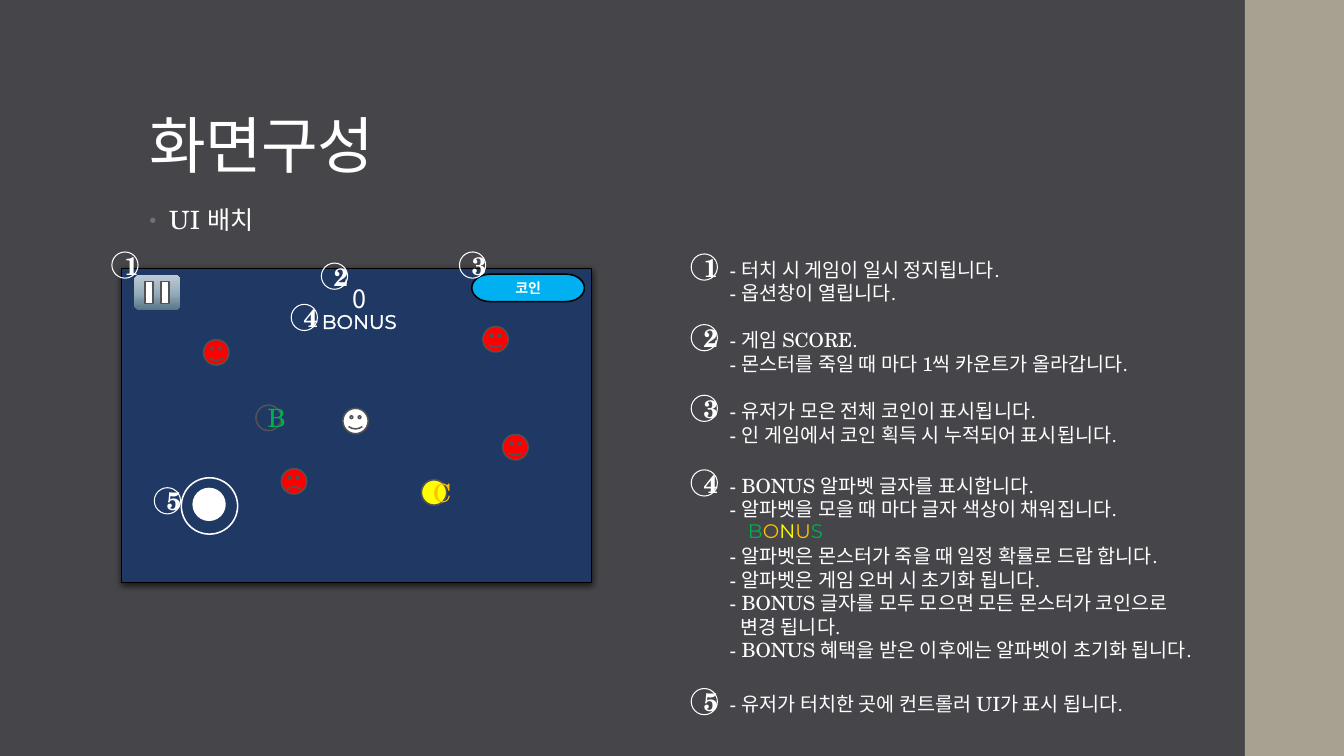
from copy import deepcopy

from lxml import etree
from pptx import Presentation
from pptx.dml.color import RGBColor
from pptx.enum.shapes import MSO_SHAPE
from pptx.enum.text import MSO_ANCHOR, MSO_AUTO_SIZE, PP_ALIGN
from pptx.oxml.ns import qn
from pptx.util import Cm, Pt

OVAL, FACE, BOX = MSO_SHAPE.OVAL, MSO_SHAPE.SMILEY_FACE, MSO_SHAPE.RECTANGLE
ROUNDED = MSO_SHAPE.ROUNDED_RECTANGLE
PROCESS = MSO_SHAPE.FLOWCHART_PROCESS
TERMINATOR = MSO_SHAPE.FLOWCHART_TERMINATOR
LEFT, CENTER = PP_ALIGN.LEFT, PP_ALIGN.CENTER
TOP, BOTTOM = MSO_ANCHOR.TOP, MSO_ANCHOR.BOTTOM
NO_AUTOFIT = MSO_AUTO_SIZE.NONE

SERIF, SANS, KOREAN = "TeX Gyre Schola", "Montserrat", "Noto Sans CJK KR"
COLORS = {
    "background": "46464A", "strip": "A7A192", "screen": "203864",
    "white": "FFFFFF", "black": "000000", "edge": "525256", "bullet": "6F6F74",
    "coin": "00B0F0", "red": "FF0000", "green": "00B050", "yellow": "FFFF00",
    "amber": "FFC000",
}
BUTTON_GRADIENT = [(0, "577387"), (0.48, "95ACBB"), (1, "BECBD5")]

TITLE = "화면구성"
SUBTITLE = "UI 배치"

# Lengths in centimetres
ITEM_SIZE, MARKER_SIZE = 0.64, 0.66
SCREEN = (3.07, 6.76, 11.84, 7.92)
PLAYER = (8.64, 10.29)
MONSTERS = [((5.13, 8.56), 0.047), ((12.17, 8.23), 0.047),
            ((12.67, 10.95), 0.047), ((7.09, 11.81), -0.047)]
LETTERS = [("B", (6.45, 10.21), None, "green"),
           ("C", (10.62, 12.09), "yellow", "amber")]
SCREEN_MARKERS = [(2.82, 6.35), (8.1, 6.63), (11.58, 6.35), (7.34, 7.67), (3.89, 12.29)]
BONUS_WORDS = [((7.8, 7.67), ["white"] * 5),
               ((18.54, 12.95), ["green", "amber", "yellow", "amber", "green"])]

NOTE_MARKER_LEFT, NOTE_LEFT, NOTE_WIDTH = 17.42, 18.14, 13.13
LINE_HEIGHT, NOTE_PADDING = 0.6, 0.25
NOTES = [
    (6.4, ["- 터치 시 게임이 일시 정지됩니다.", "- 옵션창이 열립니다."]),
    (8.18, ["- 게임 SCORE.", "- 몬스터를 죽일 때 마다 1씩 카운트가 올라갑니다."]),
    (9.96, ["- 유저가 모은 전체 코인이 표시됩니다.",
            "- 인 게임에서 코인 획득 시 누적되어 표시됩니다."]),
    (11.84, ["- BONUS 알파벳 글자를 표시합니다.",
             "- 알파벳을 모을 때 마다 글자 색상이 채워집니다.",
             "- 알파벳은 몬스터가 죽을 때 일정 확률로 드랍 합니다.",
             "- 알파벳은 게임 오버 시 초기화 됩니다.",
             "- BONUS 글자를 모두 모으면 모든 몬스터가 코인으로",
             "변경 됩니다.",
             "- BONUS 혜택을 받은 이후에는 알파벳이 초기화 됩니다."]),
    (17.35, ["- 유저가 터치한 곳에 컨트롤러 UI가 표시 됩니다."]),
]
BONUS_NOTE, LINE_AFTER_BONUS = 3, 2


def rgb(name):
    return RGBColor.from_string(COLORS[name])


def format_run(run, size, color="white", font=SERIF, bold=False):
    run.font.size, run.font.bold, run.font.name = Pt(size), bold, font
    run.font.color.rgb = rgb(color)
    east_asian = etree.Element(qn("a:ea"), typeface=KOREAN)
    run.font._element.find(qn("a:latin")).addnext(east_asian)


def add_figure(slide, kind, box, fill=None, line=None, width=1.1):
    shape = slide.shapes.add_shape(kind, *map(Cm, box))
    shape.shadow.inherit = False
    if fill:
        shape.fill.solid()
        shape.fill.fore_color.rgb = rgb(fill)
    else:
        shape.fill.background()
    if line:
        shape.line.color.rgb = rgb(line)
        shape.line.width = Pt(width)
    else:
        shape.line.fill.background()
    return shape


def add_label(shape, text, size, color="white", bold=True):
    paragraph = shape.text_frame.paragraphs[0]
    paragraph.text, paragraph.alignment = text, CENTER
    format_run(paragraph.runs[0], size, color, bold=bold)


def add_marker(slide, number, left, top):
    marker = add_figure(slide, OVAL, (left, top, MARKER_SIZE, MARKER_SIZE),
                        line="white", width=0.75)
    add_label(marker, str(number), 18)


def add_text(slide, box):
    frame = slide.shapes.add_textbox(*map(Cm, box)).text_frame
    frame.word_wrap = True
    return frame


def place(placeholder, box, text, size, anchor, line_spacing, tracking):
    placeholder.left, placeholder.top, placeholder.width, placeholder.height = map(Cm, box)
    frame = placeholder.text_frame
    frame.text, frame.vertical_anchor, frame.auto_size = text, anchor, NO_AUTOFIT
    paragraph = frame.paragraphs[0]
    paragraph.alignment, paragraph.line_spacing = LEFT, line_spacing
    paragraph.space_before = Pt(0)
    format_run(paragraph.runs[0], size)
    paragraph.runs[0].font._element.set("spc", str(tracking))
    return paragraph


def add_bullet(paragraph):
    properties = paragraph._p.get_or_add_pPr()
    properties.set("marL", str(Cm(0.5)))
    properties.set("indent", str(-Cm(0.5)))
    color = etree.SubElement(properties, qn("a:buClr"))
    etree.SubElement(color, qn("a:srgbClr"), val=COLORS["bullet"])
    etree.SubElement(properties, qn("a:buSzPct"), val="80000")
    etree.SubElement(properties, qn("a:buChar"), char="•")


def add_screen_shadow(shape):
    effects = shape._element.spPr.find(qn("a:effectLst"))
    shadow = etree.SubElement(effects, qn("a:outerShdw"), blurRad=str(Pt(4.5)),
                              dist=str(Pt(1.5)), dir="5400000", rotWithShape="0")
    color = etree.SubElement(shadow, qn("a:srgbClr"), val=COLORS["black"])
    etree.SubElement(color, qn("a:alpha"), val="63000")


def fill_button(shape):
    shape.fill.gradient()
    shape.fill.gradient_angle = 90
    stop_list = shape._element.spPr.find(".//" + qn("a:gsLst"))
    stop_list.append(deepcopy(stop_list[0]))
    for stop, (position, color) in zip(shape.fill.gradient_stops, BUTTON_GRADIENT):
        stop.position = position
        stop.color.rgb = RGBColor.from_string(color)


def add_bonus(slide, position, colors):
    paragraph = add_text(slide, (*position, 2.51, 0.86)).paragraphs[0]
    paragraph.alignment = CENTER
    for letter, color in zip("BONUS", colors):
        run = paragraph.add_run()
        run.text = letter
        format_run(run, 14, color, SANS)
        outline = etree.Element(qn("a:ln"), w=str(Pt(0.75)))
        line_fill = etree.SubElement(outline, qn("a:solidFill"))
        etree.SubElement(line_fill, qn("a:srgbClr"), val=COLORS["white"])
        run.font._element.insert(0, outline)


def add_game_screen(slide):
    add_screen_shadow(add_figure(slide, PROCESS, SCREEN, "screen", "black", 0.75))
    add_figure(slide, FACE, (*PLAYER, ITEM_SIZE, ITEM_SIZE), "white", "edge")
    coin = add_figure(slide, TERMINATOR, (11.89, 6.91, 2.84, 0.69), "coin", "black")
    add_label(coin, "코인", 10)
    fill_button(add_figure(slide, ROUNDED, (3.38, 6.93, 1.17, 0.89)))
    for left in (3.66, 4.06):
        add_figure(slide, BOX, (left, 7.09, 0.2, 0.56), "white", "edge")
    score = add_text(slide, (8.64, 7.01, 0.89, 1.02)).paragraphs[0]
    score.text = "0"
    format_run(score.runs[0], 18, font=KOREAN)
    for position, smile in MONSTERS:
        monster = add_figure(slide, FACE, (*position, ITEM_SIZE, ITEM_SIZE), "red", "edge")
        monster.adjustments[0] = smile
    for letter, position, fill, color in LETTERS:
        item = add_figure(slide, OVAL, (*position, ITEM_SIZE, ITEM_SIZE), fill, "edge")
        add_label(item, letter, 18, color, bold=False)
    add_figure(slide, OVAL, (4.57, 12.04, 1.42, 1.42), line="white")
    add_figure(slide, OVAL, (4.85, 12.29, 0.84, 0.84), "white")
    for number, position in enumerate(SCREEN_MARKERS, 1):
        add_marker(slide, number, *position)


def add_notes(slide):
    for index, (top, lines) in enumerate(NOTES):
        add_marker(slide, index + 1, NOTE_MARKER_LEFT, top)
        height = LINE_HEIGHT * (len(lines) + (index == BONUS_NOTE)) + NOTE_PADDING
        frame = add_text(slide, (NOTE_LEFT, top - 0.03, NOTE_WIDTH, height))
        frame.text = "\n".join(lines)
        for paragraph in frame.paragraphs:
            format_run(paragraph.runs[0], 14)
            if not paragraph.text.startswith("-"):
                paragraph._p.get_or_add_pPr().set("marL", str(Cm(0.27)))
        if index == BONUS_NOTE:
            frame.paragraphs[LINE_AFTER_BONUS].space_before = Pt(16.8)


def main():
    presentation = Presentation()
    presentation.slide_width, presentation.slide_height = Cm(33.87), Cm(19.05)
    slide = presentation.slides.add_slide(presentation.slide_layouts[1])
    slide.background.fill.solid()
    slide.background.fill.fore_color.rgb = rgb("background")
    add_figure(slide, BOX, (31.37, 0, 2.5, 19.05), "strip")
    title, body = slide.placeholders
    place(title, (3.51, 1.02, 26.92, 3.68), TITLE, 44, BOTTOM, 0.9, -50)
    subtitle = place(body, (3.51, 5.08, 23.88, 12.09), SUBTITLE, 18, TOP, 0.95, 10)
    add_bullet(subtitle)
    add_game_screen(slide)
    add_notes(slide)
    for position, colors in BONUS_WORDS:
        add_bonus(slide, position, colors)
    presentation.save("out.pptx")


if __name__ == "__main__":
    main()
